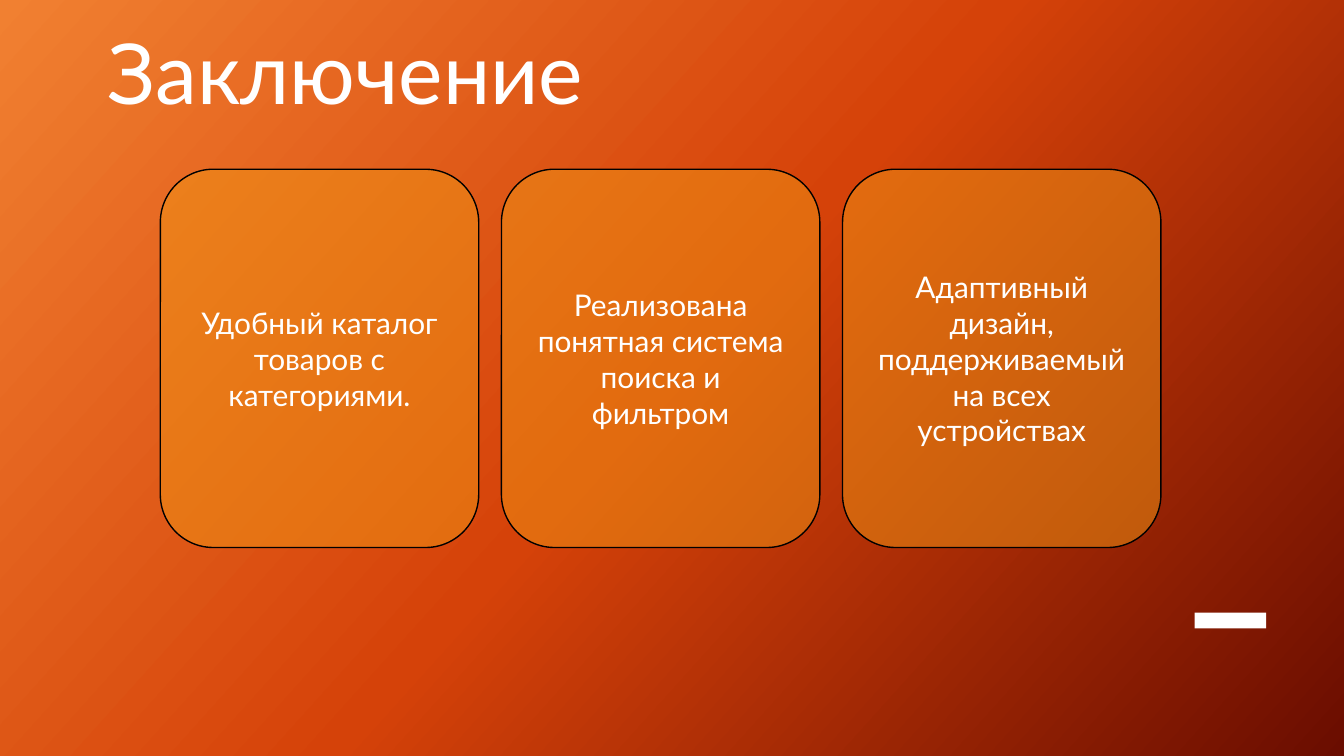
import copy
from dataclasses import dataclass

import pptx
import pptx.dml.color
import pptx.enum.shapes
import pptx.enum.text
import pptx.oxml
import pptx.oxml.ns
import pptx.util

Cm = pptx.util.Cm
Pt = pptx.util.Pt
ALIGN = pptx.enum.text.PP_ALIGN
ANCHOR = pptx.enum.text.MSO_ANCHOR
SHAPE = pptx.enum.shapes.MSO_SHAPE


@dataclass(frozen=True)
class Theme:
    font: str = "Lato"
    title_size: float = 45
    card_size: float = 16
    text: str = "FFFFFF"
    card: str = "F09415"
    card_opacity: int = 50
    outline: str = "000000"
    outline_width: float = 0.75
    backdrop: tuple = ((0, "F18031"), (50, "D54209"), (100, "6A0D00"))
    backdrop_angle: int = 42  # clockwise


THEME = Theme()
CONCLUSIONS = (
    "Удобный каталог товаров с категориями.",
    "Реализована понятная система поиска и фильтром",
    "Адаптивный дизайн, поддерживаемый на всех устройствах",
)


def rgb(value):
    return pptx.dml.color.RGBColor.from_string(value)


def write(frame, words, size, align, anchor):
    frame.word_wrap = True
    frame.vertical_anchor = anchor
    paragraph = frame.paragraphs[0]
    paragraph.alignment = align
    run = paragraph.add_run()
    run.text = words
    run.font.name = THEME.font
    run.font.size = Pt(size)
    run.font.color.rgb = rgb(THEME.text)
    return paragraph


def paint_backdrop(slide):
    fill = slide.background.fill
    fill.gradient()
    fill.gradient_angle = 360 - THEME.backdrop_angle
    # The default gradient has two stops; add the third
    stops = slide._element.find(".//" + pptx.oxml.ns.qn("a:gsLst"))
    stops.append(copy.deepcopy(stops[-1]))
    for stop, (percent, color) in zip(fill.gradient_stops, THEME.backdrop):
        stop.position = percent / 100
        stop.color.rgb = rgb(color)


def place_title(slide, left, top, width, height):
    title = slide.shapes.title
    title.left, title.top, title.width, title.height = left, top, width, height
    frame = title.text_frame
    frame.auto_size = pptx.enum.text.MSO_AUTO_SIZE.NONE
    frame.margin_left = frame.margin_right = Cm(0.25)
    frame.margin_top = frame.margin_bottom = Cm(0.25)
    heading = write(frame, "Заключение", THEME.title_size, ALIGN.RIGHT, ANCHOR.TOP)
    heading.line_spacing = 0.9


def add_accent(slide, left, top, width, height):
    accent = slide.shapes.add_shape(SHAPE.RECTANGLE, left, top, width, height)
    accent.shadow.inherit = False
    accent.fill.solid()
    accent.fill.fore_color.rgb = rgb(THEME.text)
    accent.line.fill.background()


def add_card(slide, words, left, top, width, height):
    card = slide.shapes.add_shape(SHAPE.ROUNDED_RECTANGLE, left, top, width, height)
    card.shadow.inherit = False
    card.fill.solid()
    card.fill.fore_color.rgb = rgb(THEME.card)
    # Half-transparent fill
    color = card._element.spPr.find(".//" + pptx.oxml.ns.qn("a:srgbClr"))
    alpha = pptx.oxml.parse_xml(
        f'<a:alpha {pptx.oxml.ns.nsdecls("a")} val="{THEME.card_opacity * 1000}"/>'
    )
    color.append(alpha)
    card.line.color.rgb = rgb(THEME.outline)
    card.line.width = Pt(THEME.outline_width)
    write(card.text_frame, words, THEME.card_size, ALIGN.CENTER, ANCHOR.MIDDLE)


def add_cards(slide, left, top, width, height, gap):
    count = len(CONCLUSIONS)
    card_width = (width - gap * (count - 1)) // count
    for index, words in enumerate(CONCLUSIONS):
        add_card(slide, words, left + index * (card_width + gap), top, card_width, height)


def main():
    deck = pptx.Presentation()
    deck.slide_width, deck.slide_height = Cm(25.4), Cm(14.29)
    slide = deck.slides.add_slide(deck.slide_layouts[5])  # title only

    paint_backdrop(slide)
    place_title(slide, Cm(0.91), Cm(0.36), Cm(10.36), Cm(1.96))
    add_accent(slide, Cm(22.58), Cm(11.58), Cm(1.35), Cm(0.3))
    add_cards(slide, Cm(3.03), Cm(3.2), Cm(18.91), Cm(7.15), gap=Cm(0.43))

    deck.save("out.pptx")


if __name__ == "__main__":
    main()
